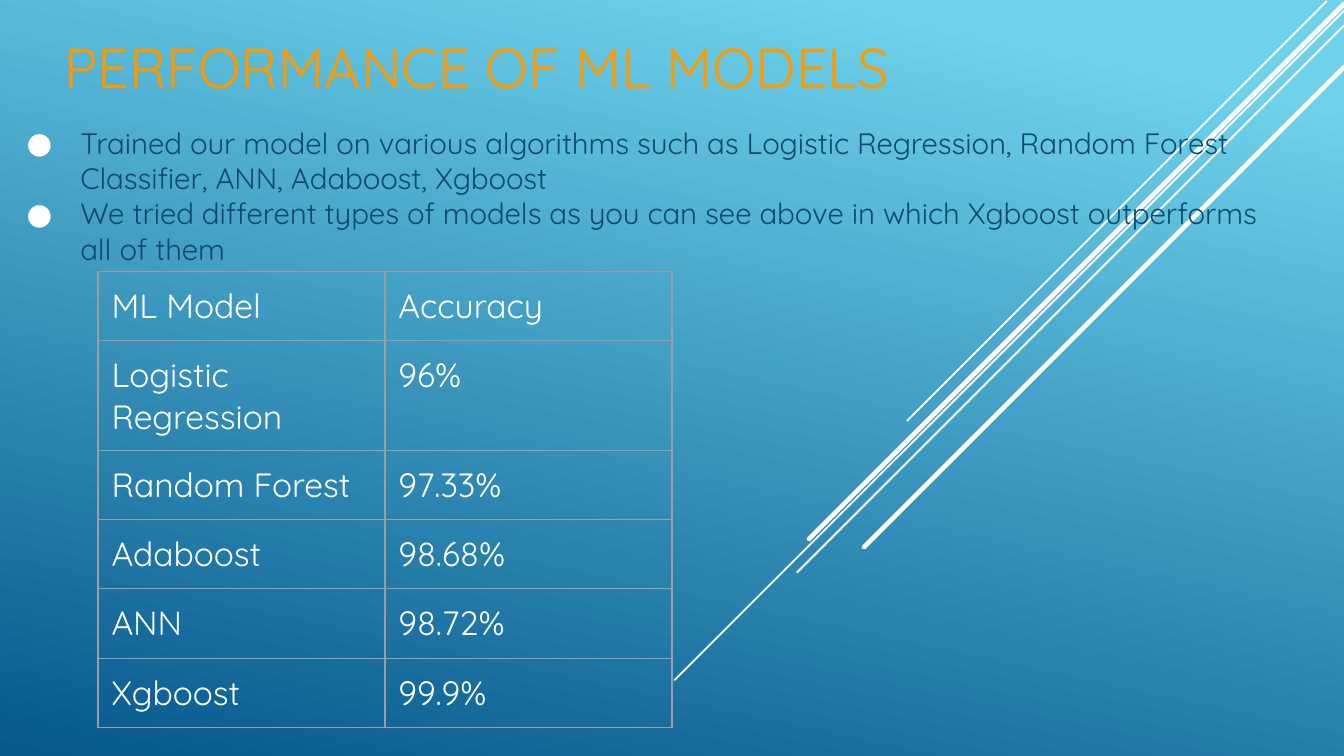
import pptx
import pptx.dml.color
import pptx.enum.shapes
import pptx.enum.text
import pptx.oxml.ns
import pptx.util
from lxml import etree

RGBColor = pptx.dml.color.RGBColor
SKY = RGBColor(0x6E, 0xD2, 0xEB)
DEEP_BLUE = RGBColor(0x06, 0x58, 0x8E)
WHITE = RGBColor(0xFF, 0xFF, 0xFF)
ORANGE = RGBColor(0xFF, 0x99, 0x00)
NAVY = RGBColor(0x0F, 0x49, 0x6F)
GRAY = RGBColor(0x9E, 0x9E, 0x9E)

FONT = "Quicksand"
COLUMNS, ROWS = 100, 56.25  # square grid cells of a tenth of an inch

POINTS = [
    "Trained our model on various algorithms such as Logistic Regression, "
    "Random Forest Classifier, ANN, Adaboost, Xgboost",
    "We tried different types of models as you can see above in which "
    "Xgboost outperforms all of them",
]
ACCURACY = [
    ("ML Model", "Accuracy"),
    ("Logistic Regression", "96%"),
    ("Random Forest", "97.33%"),
    ("Adaboost", "98.68%"),
    ("ANN", "98.72%"),
    ("Xgboost", "99.9%"),
]
# Start column, start row, cells run down and to the left, line width
RAYS = [
    (98.7, 0.1, 31.2, 1),
    (100, 0.8, 49.8, 1),
    (100, 1.9, 40.7, 1),
    (100, 0.3, 39.8, 2.5),
    (100, 5, 35.7, 2.5),
]


def grid(cells):
    return pptx.util.Inches(cells / 10)


def add_xml(parent, tag, **attributes):
    return etree.SubElement(parent, pptx.oxml.ns.qn(tag), attributes)


def write_text(paragraph, text, size=18, color=WHITE):
    run = paragraph.add_run()
    run.text = text
    run.font.name = FONT
    run.font.size = pptx.util.Pt(size)
    run.font.color.rgb = color


def add_bullet(paragraph, color):
    """Hang a round bullet in front of the paragraph."""
    properties = paragraph._p.get_or_add_pPr()
    properties.set("marL", str(grid(5)))
    properties.set("indent", str(-grid(4)))
    add_xml(add_xml(properties, "a:buClr"), "a:srgbClr", val=str(color))
    add_xml(properties, "a:buFont", typeface=FONT)
    add_xml(properties, "a:buChar", char="●")


def set_borders(cell, color, width):
    properties = cell._tc.get_or_add_tcPr()
    for side in ("a:lnL", "a:lnR", "a:lnT", "a:lnB"):
        border = add_xml(properties, side, w=str(pptx.util.Pt(width)))
        add_xml(add_xml(border, "a:solidFill"), "a:srgbClr", val=str(color))


class SlideBuilder:
    """Holds the deck's style and the slide being filled."""

    def __init__(self):
        self.deck = pptx.Presentation()
        self.deck.slide_width = grid(COLUMNS)
        self.deck.slide_height = grid(ROWS)
        self.slide = self.deck.slides.add_slide(self.deck.slide_layouts[6])

    def background(self, start, end, angle):
        fill = self.slide.background.fill
        fill.gradient()
        fill.gradient_angle = angle
        for stop, color, position in zip(fill.gradient_stops, (start, end), (0.1, 1)):
            stop.color.rgb = color
            stop.position = position

    def ray(self, column, row, run, width):
        """Draw a line at 45 degrees, down and to the left."""
        line = self.slide.shapes.add_connector(
            pptx.enum.shapes.MSO_CONNECTOR.STRAIGHT,
            grid(column), grid(row), grid(column - run), grid(row + run))
        line.line.color.rgb = WHITE
        line.line.width = pptx.util.Pt(width)
        line.line._ln.set("cap", "rnd")
        add_xml(line._element.spPr, "a:effectLst")

    def text_box(self, column, row, width, height, anchor):
        box = self.slide.shapes.add_textbox(
            grid(column), grid(row), grid(width), grid(height))
        frame = box.text_frame
        frame.word_wrap = True
        frame.vertical_anchor = anchor
        frame.margin_left = frame.margin_right = grid(1)
        frame.margin_top = frame.margin_bottom = grid(1)
        return frame

    def title(self, text):
        frame = self.text_box(3.8, 3.7, 89.9, 4.7, pptx.enum.text.MSO_ANCHOR.BOTTOM)
        write_text(frame.paragraphs[0], text, size=30, color=ORANGE)

    def bullets(self, points):
        frame = self.text_box(0, 8.3, 97, 8.2, pptx.enum.text.MSO_ANCHOR.TOP)
        for index, point in enumerate(points):
            paragraph = frame.add_paragraph() if index else frame.paragraphs[0]
            write_text(paragraph, point, size=15.75, color=NAVY)
            add_bullet(paragraph, WHITE)

    def table(self, records, column, row, width, row_height):
        table = self.slide.shapes.add_table(
            len(records), len(records[0]), grid(column), grid(row),
            grid(width), grid(row_height * len(records))).table
        table.first_row = table.horz_banding = False
        for row_index, record in enumerate(records):
            for column_index, value in enumerate(record):
                cell = table.cell(row_index, column_index)
                cell.margin_left = cell.margin_right = cell.margin_top = grid(1)
                cell.margin_bottom = grid(1.15)
                set_borders(cell, GRAY, 0.75)
                cell.fill.background()
                write_text(cell.text_frame.paragraphs[0], value)


def main():
    builder = SlideBuilder()
    builder.background(SKY, DEEP_BLUE, angle=258)
    for ray in RAYS:
        builder.ray(*ray)
    builder.title("PERFORMANCE OF ML MODELS")
    builder.bullets(POINTS)
    builder.table(ACCURACY, column=7.3, row=20.2, width=42.7, row_height=3.8)
    builder.deck.save("out.pptx")


if __name__ == "__main__":
    main()
